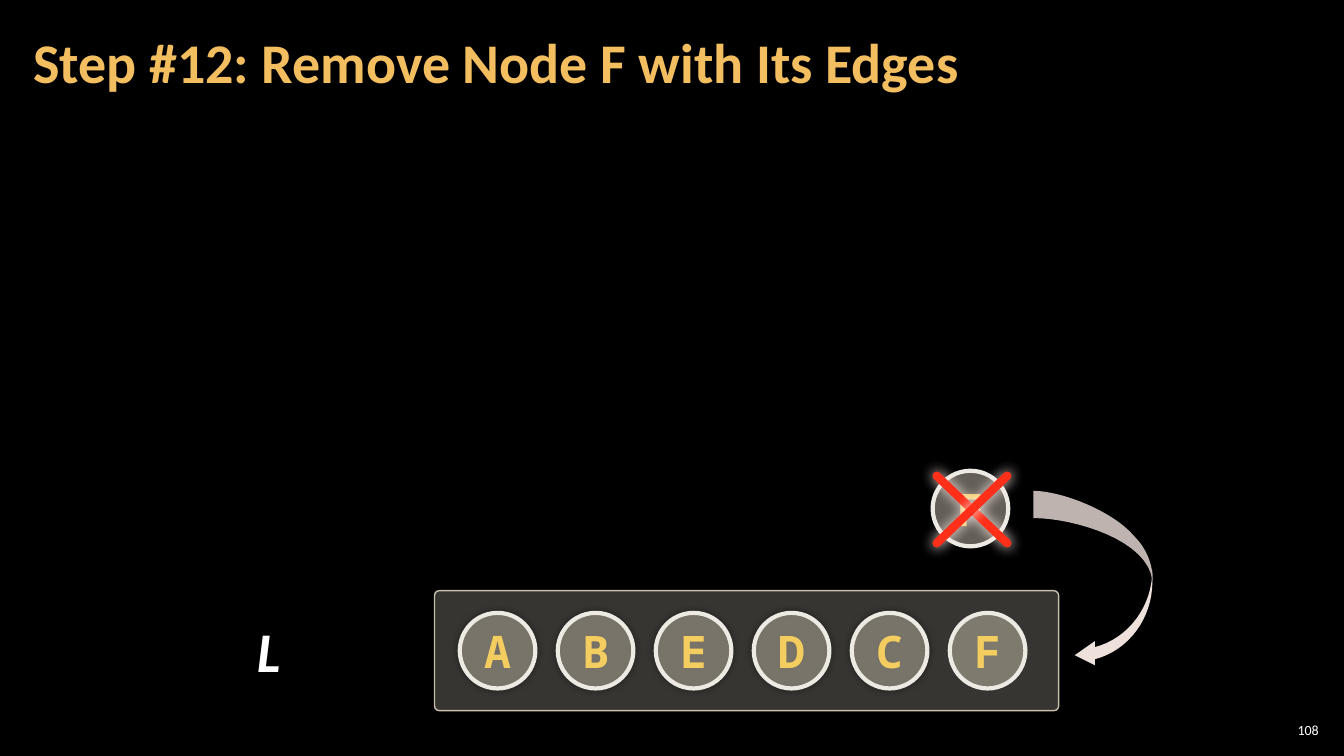
from lxml.etree import SubElement
from pptx import Presentation
from pptx.dml.color import RGBColor
from pptx.enum.shapes import MSO_CONNECTOR as Connector, MSO_SHAPE as Preset
from pptx.enum.text import MSO_ANCHOR as Anchor, PP_ALIGN as Align
from pptx.oxml.ns import qn
from pptx.util import Inches, Pt

BLACK = RGBColor(0x00, 0x00, 0x00)
WHITE = RGBColor(0xFF, 0xFF, 0xFF)
TITLE_GOLD = RGBColor(0xF3, 0xBE, 0x60)
NODE_GOLD = RGBColor(0xF3, 0xCD, 0x60)
PANEL = RGBColor(0xD9, 0xD5, 0xC7)
SAND = RGBColor(0xC7, 0xBF, 0xAC)
RING = RGBColor(0xEC, 0xEA, 0xE3)
RED = RGBColor(0xFF, 0x2F, 0x19)
GLOW = RGBColor(0xFF, 0xED, 0xEB)
ARROW = RGBColor(0xEE, 0xE0, 0xDB)
ARROW_SHADE = RGBColor(0xBE, 0xB3, 0xAF)

NODE_SIZE = 0.75


def write(shape, text, size=10, color=WHITE, font="Calibri", bold=False,
          italic=False, align=Align.CENTER, wrap=True, insets=(0.1, 0.05),
          spacing=None):
    frame = shape.text_frame
    frame.word_wrap = wrap
    frame.vertical_anchor = Anchor.MIDDLE
    frame.margin_left = frame.margin_right = Inches(insets[0])
    frame.margin_top = frame.margin_bottom = Inches(insets[1])
    para = frame.paragraphs[0]
    para.alignment = align
    para.line_spacing = spacing
    span = para.add_run()
    span.text = text
    span.font.name = font
    span.font.size = Pt(size)
    span.font.bold = bold
    span.font.italic = italic
    span.font.color.rgb = color


def add_alpha(color_element, percent):
    SubElement(color_element, qn("a:alpha"), val=str(percent * 1000))


def set_effect(shape, color=None, percent=100, blur=0):
    """Give the shape a centred soft shadow, or none without a color."""
    effects = SubElement(shape._element.spPr, qn("a:effectLst"))
    if color is not None:
        shadow = SubElement(effects, qn("a:outerShdw"), blurRad=str(Pt(blur)),
                            dist="0", algn="ctr", rotWithShape="0")
        add_alpha(SubElement(shadow, qn("a:srgbClr"), val=str(color)), percent)


def curve(*points, steps=16):
    """Return points along the cubic curve with the four given controls."""
    ends = []
    for step in range(steps + 1):
        t = step / steps
        weights = ((1 - t) ** 3, 3 * t * (1 - t) ** 2, 3 * t * t * (1 - t), t ** 3)
        ends.append(tuple(sum(w * p[axis] for w, p in zip(weights, points))
                          for axis in (0, 1)))
    return ends


class Slide:
    def __init__(self, deck):
        self.page = deck.slides.add_slide(deck.slide_layouts[5])
        self.shapes = self.page.shapes
        self.page.background.fill.solid()
        self.page.background.fill.fore_color.rgb = BLACK

    def title(self, text, *place):
        box = self.shapes.title
        box.left, box.top, box.width, box.height = map(Inches, place)
        write(box, text, size=40, color=TITLE_GOLD, bold=True, align=Align.LEFT,
              insets=(0.12, 0.04), spacing=0.9)

    def label(self, text, *place, **style):
        write(self.shapes.add_textbox(*map(Inches, place)), text, **style)

    def shape(self, preset, place, fill, opacity, line, width):
        shape = self.shapes.add_shape(preset, *map(Inches, place))
        shape.fill.solid()
        shape.fill.fore_color.rgb = fill
        add_alpha(shape._element.spPr.find(qn("a:solidFill"))[0], opacity)
        shape.line.color.rgb = line
        shape.line.width = Pt(width)
        return shape

    def panel(self, *place):
        box = self.shape(Preset.ROUNDED_RECTANGLE, place, PANEL, 25, SAND, 1)
        box.adjustments[0] = 0.04
        set_effect(box)

    def node(self, letter, left, top, shadow=None):
        place = (left, top, NODE_SIZE, NODE_SIZE)
        circle = self.shape(Preset.OVAL, place, SAND, 50, RING, 3)
        set_effect(circle, shadow, percent=40, blur=5)
        write(circle, letter, size=32, color=NODE_GOLD, font="Noto Sans Mono",
              bold=True, wrap=False)

    def stroke(self, *ends):
        line = self.shapes.add_connector(Connector.STRAIGHT, *map(Inches, ends))
        line.line.color.rgb = RED
        line.line.width = Pt(6)
        line._element.spPr.find(qn("a:ln")).set("cap", "rnd")
        set_effect(line, GLOW, blur=10)

    def outline(self, points, fill):
        corners = [(Inches(x), Inches(y)) for x, y in points]
        builder = self.shapes.build_freeform(*corners[0])
        builder.add_line_segments(corners[1:], close=True)
        shape = builder.convert_to_shape()
        shape.fill.solid()
        shape.fill.fore_color.rgb = fill
        shape.line.fill.background()
        set_effect(shape)


def main():
    deck = Presentation()
    deck.slide_width, deck.slide_height = Inches(13.33), Inches(7.5)
    slide = Slide(deck)
    slide.title("Step #12: Remove Node F with Its Edges", 0.21, 0.04, 10.47, 1.21)

    # Ordered list L
    slide.panel(4.31, 5.86, 6.19, 1.19)
    slide.label("L", 2.25, 6.08, 0.83, 0.74, size=40, bold=True, italic=True)
    first, last = 4.56, 9.42
    order = "ABEDCF"
    pitch = (last - first) / (len(order) - 1)
    for index, letter in enumerate(order):
        shadow = None if letter == "F" else BLACK
        slide.node(letter, first + index * pitch, 6.08, shadow)

    # Removed node, crossed out
    slide.node("F", 9.25, 4.67)
    left, top, right, bottom = 9.29, 4.72, 9.99, 5.39
    slide.stroke(left, top, right, bottom)
    slide.stroke(right, top, left, bottom)

    # Curved arrow into the list
    head = [(10.86, 6.36), (10.66, 6.5), (10.86, 6.6)]
    slide.outline(curve((11.43, 5.65), (11.43, 6.01), (11.2, 6.33), (10.86, 6.42))
                  + head
                  + curve((10.86, 6.54), (11.2, 6.45), (11.43, 6.13), (11.43, 5.77)),
                  ARROW)
    slide.outline(curve((10.25, 5.14), (10.65, 5.14), (11.4, 5.36), (11.43, 5.77))
                  + curve((11.43, 5.77), (11.44, 5.62), (11.38, 5.45), (11.25, 5.32))
                  + curve((11.25, 5.32), (11.04, 5.07), (10.53, 4.87), (10.25, 4.87)),
                  ARROW_SHADE)

    # Slide number
    slide.label("108", 12.65, 7.14, 0.47, 0.21, align=Align.RIGHT,
                insets=(0.04, 0.04))
    deck.save("out.pptx")


if __name__ == "__main__":
    main()
